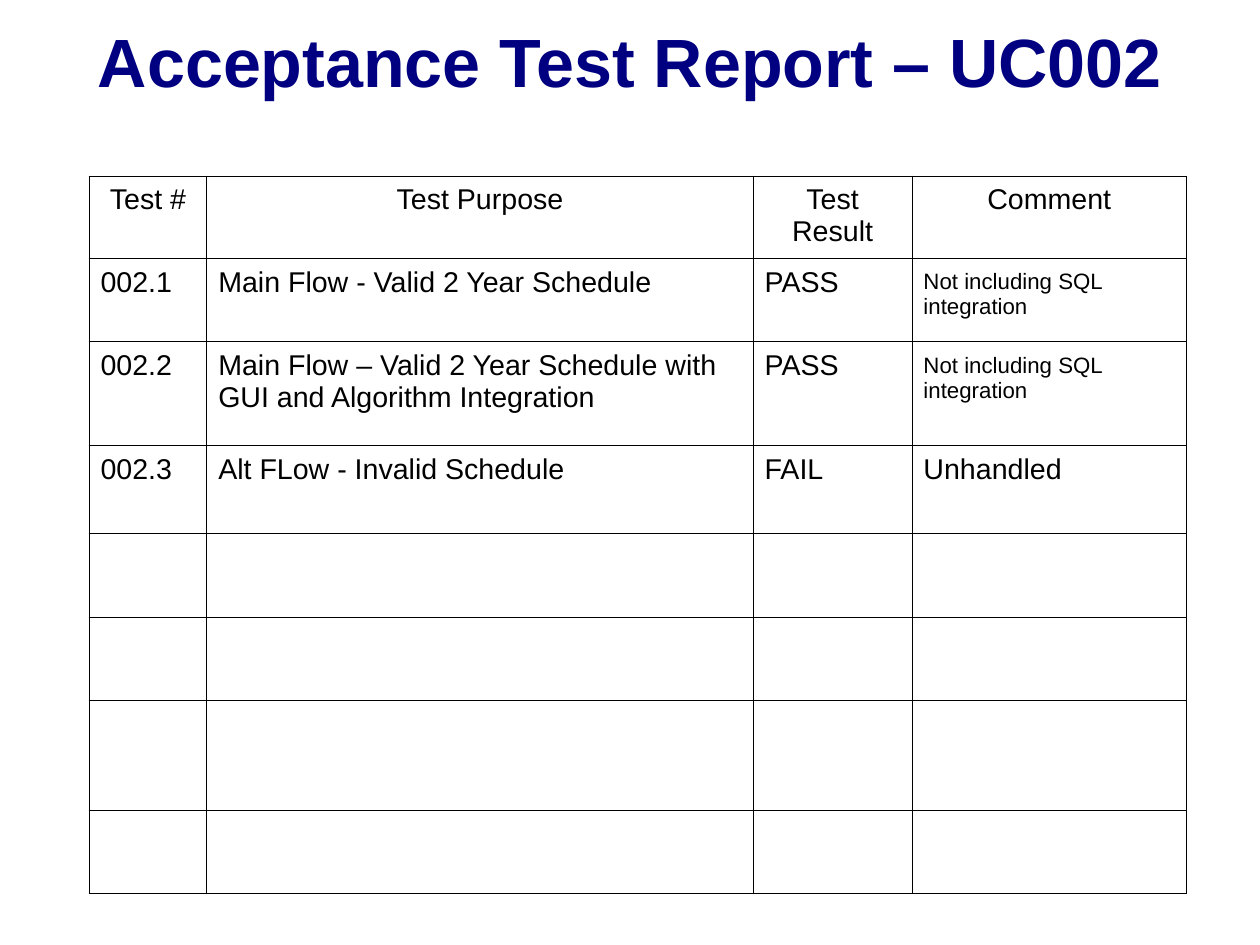
import pptx
import pptx.dml.color
import pptx.enum.text
import pptx.oxml
import pptx.oxml.ns
import pptx.util
from pptx.util import Inches

TITLE = "Acceptance Test Report – UC002"
HEADINGS = ["Test #", "Test Purpose", "Test Result", "Comment"]
TESTS = [
    ("002.1", "Main Flow - Valid 2 Year Schedule", "PASS", "Not including SQL integration"),
    ("002.2", "Main Flow – Valid 2 Year Schedule with GUI and Algorithm Integration",
     "PASS", "Not including SQL integration"),
    ("002.3", "Alt FLow - Invalid Schedule", "FAIL", "Unhandled"),
]
SMALL_TEXT = "Not including SQL integration"
COLUMN_WIDTHS = [1.03, 4.78, 1.39, 2.4]
ROW_HEIGHTS = [0.72, 0.73, 0.91, 0.77, 0.73, 0.73, 0.96, 0.73]
TABLE_LEFT, TABLE_TOP = 0.78, 1.54
# The page is an exact 4:3 metric format, 28 by 21 centimetres.
PAGE_WIDTH, PAGE_HEIGHT = pptx.util.Cm(28), pptx.util.Cm(21)

THEME = {
    "font": "Arial", "title": "000080", "text": "000000", "border": "000000", "fill": "FFFFFF",
    "title_size": 43, "body_size": 18, "small_size": 14, "border_width": 0.75,
}
ALIGN = pptx.enum.text.PP_ALIGN
TITLE_FRAME = {
    "margin_left": 0, "margin_top": 0, "margin_right": 0, "margin_bottom": 0,
    "word_wrap": True,
    "vertical_anchor": pptx.enum.text.MSO_ANCHOR.MIDDLE,
    "auto_size": pptx.enum.text.MSO_AUTO_SIZE.SHAPE_TO_FIT_TEXT,
}
BODY_MARGINS = {
    "margin_left": Inches(0.1), "margin_top": Inches(0.07),
    "margin_right": Inches(0.1), "margin_bottom": Inches(0.05),
}
SMALL_MARGINS = {name: Inches(0.1) for name in BODY_MARGINS}


def set_attributes(target, values):
    for name, value in values.items():
        setattr(target, name, value)


def rgb(name):
    return pptx.dml.color.RGBColor.from_string(THEME[name])


def write_text(paragraph, text, size, color, alignment, bold=False):
    run = paragraph.add_run()
    run.text = text
    paragraph.alignment = alignment
    set_attributes(run.font, {
        "name": THEME["font"], "size": pptx.util.Pt(THEME[size]), "bold": bold,
    })
    run.font.color.rgb = rgb(color)


def add_borders(cell):
    """Draw all four sides; called before the fill, which must follow them in the XML."""
    properties = cell._tc.get_or_add_tcPr()
    width = pptx.util.Pt(THEME["border_width"])
    for side in ("lnL", "lnR", "lnT", "lnB"):
        properties.append(pptx.oxml.parse_xml(
            f'<a:{side} {pptx.oxml.ns.nsdecls("a")} w="{width}"><a:solidFill>'
            f'<a:srgbClr val="{THEME["border"]}"/></a:solidFill></a:{side}>'))


def add_title(slide):
    title = slide.shapes.title
    set_attributes(title, {
        "left": Inches(0.27), "top": Inches(0.22),
        "width": Inches(10.48), "height": Inches(0.69),
    })
    set_attributes(title.text_frame, TITLE_FRAME)
    paragraph = title.text_frame.paragraphs[0]
    paragraph.line_spacing = 0.95
    write_text(paragraph, TITLE, "title_size", "title", ALIGN.CENTER, bold=True)


def add_report_table(slide):
    table = slide.shapes.add_table(
        len(ROW_HEIGHTS), len(COLUMN_WIDTHS), Inches(TABLE_LEFT), Inches(TABLE_TOP),
        Inches(sum(COLUMN_WIDTHS)), Inches(sum(ROW_HEIGHTS))).table
    set_attributes(table, {"first_row": False, "horz_banding": False})
    for column, width in zip(table.columns, COLUMN_WIDTHS):
        column.width = Inches(width)
    for row, height in zip(table.rows, ROW_HEIGHTS):
        row.height = Inches(height)
    for cell in table.iter_cells():
        add_borders(cell)
        cell.fill.solid()
        cell.fill.fore_color.rgb = rgb("fill")
    for row_index, texts in enumerate([HEADINGS, *TESTS]):
        alignment = ALIGN.CENTER if row_index == 0 else ALIGN.LEFT
        for column_index, text in enumerate(texts):
            cell = table.cell(row_index, column_index)
            small = text == SMALL_TEXT
            set_attributes(cell, SMALL_MARGINS if small else BODY_MARGINS)
            write_text(cell.text_frame.paragraphs[0], text,
                       "small_size" if small else "body_size", "text", alignment)


def main():
    presentation = pptx.Presentation()
    presentation.slide_width = PAGE_WIDTH
    presentation.slide_height = PAGE_HEIGHT
    slide = presentation.slides.add_slide(presentation.slide_layouts.get_by_name("Title Only"))
    add_title(slide)
    add_report_table(slide)
    presentation.save("out.pptx")


if __name__ == "__main__":
    main()
